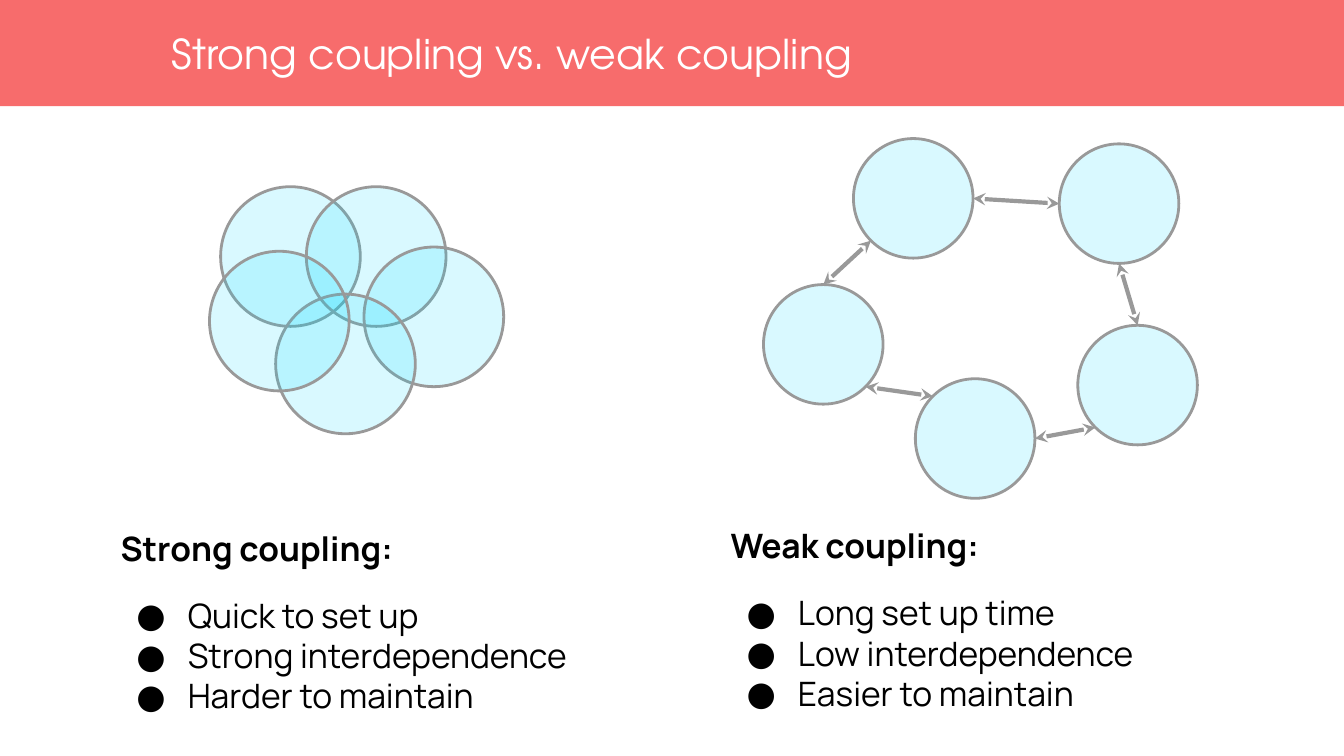
from dataclasses import dataclass
from math import cos, radians, sin

from lxml.etree import SubElement as Sub
from pptx import Presentation
from pptx.dml.color import RGBColor as Rgb
from pptx.enum.shapes import MSO_CONNECTOR as Link, MSO_SHAPE as Form
from pptx.enum.text import MSO_ANCHOR as Anchor
from pptx.oxml.ns import qn
from pptx.util import Cm, Pt

HUES = {
    "bar": "F76C6C",
    "disc": "00DBFF",
    "line": "999999",
    "title": "FFFFFF",
    "text": "000000",
}
# Angles on a disc, clockwise from the right
EAST, SE, SOUTH, SW, WEST, NW, NORTH = (radians(45 * n) for n in range(7))


@dataclass
class Disc:
    left: float
    top: float
    size: float

    def edge(self, angle: float) -> tuple[Cm, Cm]:
        half = self.size / 2
        return (Cm(self.left + half * (1 + cos(angle))),
                Cm(self.top + half * (1 + sin(angle))))


@dataclass
class Arrow:
    start: Disc
    out: float
    end: Disc
    into: float


@dataclass
class Note:
    left: float
    top: float
    head: str
    items: list[str]


def hue(name: str) -> Rgb:
    return Rgb.from_string(HUES[name])


def draw_disc(slide, disc: Disc) -> None:
    shape = slide.shapes.add_shape(
        Form.OVAL, Cm(disc.left), Cm(disc.top), Cm(disc.size), Cm(disc.size))
    shape.shadow.inherit = False
    shape.fill.solid()
    shape.fill.fore_color.rgb = hue("disc")
    tone = shape.fill._xPr.find(".//" + qn("a:srgbClr"))
    Sub(tone, qn("a:alpha"), val="15000")
    shape.line.color.rgb = hue("line")
    shape.line.width = Pt(1.5)


def draw_arrow(slide, arrow: Arrow) -> None:
    link = slide.shapes.add_connector(
        Link.STRAIGHT, *arrow.start.edge(arrow.out), *arrow.end.edge(arrow.into))
    link.line.color.rgb = hue("line")
    link.line.width = Pt(2.25)
    for tip in ("a:headEnd", "a:tailEnd"):
        Sub(link.line._get_or_add_ln(), qn(tip), type="stealth")
    Sub(link._element.spPr, qn("a:effectLst"))


def add_frame(slide, left: float, top: float, width: float, height: float,
              inset: float, anchor: Anchor):
    box = slide.shapes.add_textbox(Cm(left), Cm(top), Cm(width), Cm(height))
    frame = box.text_frame
    frame.word_wrap = True
    frame.vertical_anchor = anchor
    frame.margin_left = frame.margin_right = Cm(inset)
    frame.margin_top = frame.margin_bottom = Cm(inset)
    return frame


def write(para, text: str, *, font: str = "Manrope", size: float = 18,
          tone: str = "text", bold: bool = False, after: float = 0,
          bullet: bool = False) -> None:
    run = para.add_run()
    run.text = text
    run.font.name = font
    run.font.size = Pt(size)
    run.font.bold = bold
    run.font.color.rgb = hue(tone)
    para.space_after = Pt(after)
    if bullet:
        props = para._p.get_or_add_pPr()
        props.set("marL", str(Cm(1.27)))
        props.set("indent", str(Cm(-0.97)))
        paint = Sub(props, qn("a:buClr"))
        Sub(paint, qn("a:srgbClr"), val=HUES["text"])
        Sub(props, qn("a:buFont"), typeface=font)
        Sub(props, qn("a:buChar"), char="●")


def draw_note(slide, note: Note) -> None:
    frame = add_frame(slide, note.left, note.top, 9.4, 4.37, 0.25, Anchor.TOP)
    write(frame.paragraphs[0], note.head, bold=True, after=14.2)
    for item in note.items:
        write(frame.add_paragraph(), item, bullet=True)


def main() -> None:
    deck = Presentation()
    deck.slide_width, deck.slide_height = Cm(25.4), Cm(14.29)
    slide = deck.slides.add_slide(deck.slide_layouts[6])

    # Title bar
    bar = slide.shapes.add_shape(
        Form.RECTANGLE, Cm(-0.05), 0, Cm(25.5), Cm(2.01))
    bar.shadow.inherit = False
    bar.fill.solid()
    bar.fill.fore_color.rgb = hue("bar")
    bar.line.fill.background()
    title = add_frame(slide, 3.25, 0, 21.74, 2.01, 0, Anchor.MIDDLE)
    write(title.paragraphs[0], "Strong coupling vs. weak coupling",
          font="TeX Gyre Adventor", size=22, tone="title")

    # Overlapping discs on the left, separate ones on the right
    tight = [Disc(x, y, 2.64) for x, y in (
        (4.17, 3.53), (5.79, 3.53), (6.88, 4.67), (5.21, 5.56), (3.96, 4.75))]
    loose = [Disc(x, y, 2.26) for x, y in (
        (16.13, 2.62), (20.02, 2.72), (20.37, 6.15), (17.3, 7.16), (14.43, 5.38))]
    for disc in tight + loose:
        draw_disc(slide, disc)

    # Two-way arrows around the loose ring
    one, two, three, four, five = loose
    for arrow in (
        Arrow(one, EAST, two, WEST),
        Arrow(one, SW, five, NORTH),
        Arrow(five, SE, four, NW),
        Arrow(four, EAST, three, SW),
        Arrow(three, NORTH, two, SOUTH),
    ):
        draw_arrow(slide, arrow)

    # Notes below each diagram
    for note in (
        Note(2.03, 9.73, "Strong coupling:",
             ["Quick to set up", "Strong interdependence", "Harder to maintain"]),
        Note(13.56, 9.68, "Weak coupling:",
             ["Long set up time", "Low interdependence", "Easier to maintain"]),
    ):
        draw_note(slide, note)

    deck.save("out.pptx")


if __name__ == "__main__":
    main()
